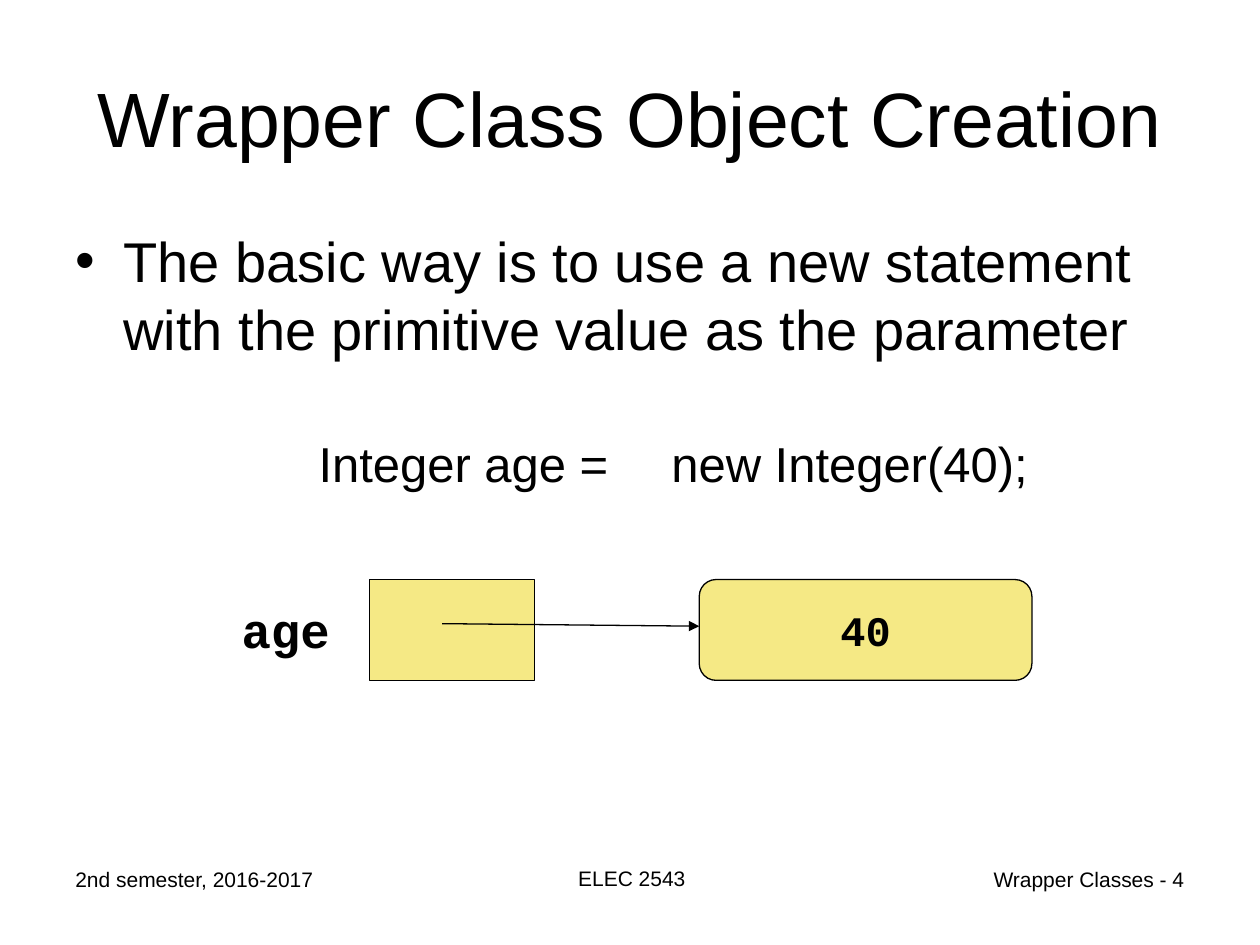
from lxml import etree
from pptx import Presentation
from pptx.dml.color import RGBColor
from pptx.enum.shapes import MSO_CONNECTOR as Connector, MSO_SHAPE as Shape
from pptx.enum.text import MSO_ANCHOR as Anchor, MSO_AUTO_SIZE as AutoSize, PP_ALIGN as Align
from pptx.oxml.ns import qn
from pptx.util import Inches, Pt

BLACK, YELLOW = "000000", "F5E985"
LINE_WIDTH = Pt(0.74)
CODE_FONT = {"name": "Courier New", "bold": True}


def color(value):
    """Turn a hex string into a colour."""
    return RGBColor.from_string(value)


def set_all(target, values):
    """Set attributes from a dict of format values."""
    for name, value in values.items():
        setattr(target, name, value)


def place(shape, box):
    """Move a shape to a box given in inches."""
    set_all(shape, dict(zip(("left", "top", "width", "height"), map(Inches, box))))


def write(shape, text, size, align=Align.LEFT, anchor=Anchor.TOP, wrap=True, font=None):
    """Write one formatted paragraph into a shape and return it."""
    frame = shape.text_frame
    frame.text = text
    set_all(frame, {"auto_size": AutoSize.NONE, "word_wrap": wrap, "vertical_anchor": anchor})
    paragraph = frame.paragraphs[0]
    paragraph.alignment = align
    run_font = paragraph.runs[0].font
    set_all(run_font, {"name": "Arial", "size": Pt(size), **(font or {})})
    run_font.color.rgb = color(BLACK)
    return paragraph


def add_label(slide, box, text, size, **options):
    """Add a text box holding one line."""
    label = slide.shapes.add_textbox(*map(Inches, box))
    write(label, text, size, **options)


def add_cell(slide, kind, box):
    """Add a yellow outlined memory cell."""
    cell = slide.shapes.add_shape(kind, *map(Inches, box))
    cell.shadow.inherit = False
    cell.fill.solid()
    cell.fill.fore_color.rgb = color(YELLOW)
    cell.line.color.rgb = color(BLACK)
    cell.line.width = LINE_WIDTH
    return cell


def add_arrow(slide, start, end):
    """Add a thin black arrow between two points."""
    points = map(Inches, (*start, *end))
    arrow = slide.shapes.add_connector(Connector.STRAIGHT, *points)
    arrow.line.color.rgb = color(BLACK)
    arrow.line.width = LINE_WIDTH
    etree.SubElement(arrow.line._get_or_add_ln(), qn("a:tailEnd"), type="triangle")
    etree.SubElement(arrow._element.spPr, qn("a:effectLst"))


def fill_title(slide, box, text):
    """Fill the title placeholder."""
    place(slide.shapes.title, box)
    write(slide.shapes.title, text, 44, align=Align.CENTER, anchor=Anchor.MIDDLE)


def fill_body(slide, box, text):
    """Fill the body placeholder with one bullet."""
    body = slide.placeholders[1]
    place(body, box)
    paragraph = write(body, text, 32)
    paragraph.space_before = Pt(8)
    properties = paragraph._p.get_or_add_pPr()
    properties.set("marL", str(Inches(0.38)))
    properties.set("indent", str(Inches(-0.38)))
    etree.SubElement(properties, qn("a:buChar"), char="\u2022")


def add_statement(slide, box):
    """Add the two halves of the code statement."""
    left, top, width, height = box
    add_label(slide, (left, top, 2.5, height), "Integer age =", 28, wrap=False)
    add_label(slide, (left + 2.8, top, width - 2.8, height), "new Integer(40);", 28, wrap=False)


def add_reference_diagram(slide, box):
    """Draw the variable pointing to its object."""
    left, top, width, height = box
    object_width = 2.64
    object_left = left + width - object_width
    value = add_cell(slide, Shape.ROUNDED_RECTANGLE, (object_left, top, object_width, height))
    write(value, "40", 24, align=Align.CENTER, anchor=Anchor.MIDDLE, wrap=False, font=CODE_FONT)
    add_cell(slide, Shape.RECTANGLE, (left + 1.11, top, 1.31, height))
    add_label(slide, (left, top + 0.11, 0.9, 0.57), "age", 28, wrap=False, font=CODE_FONT)
    add_arrow(slide, (left + 1.69, top + 0.35), (object_left, top + 0.37))


def add_footer(slide, box):
    """Add the left, centre and right footer texts."""
    left, top, width, height = box
    side = 2.33
    add_label(slide, (left, top, side, height), "2nd semester, 2016-2017", 12)
    add_label(slide, (left + 2.93, top - 0.01, 3.17, height), "ELEC 2543", 12, align=Align.CENTER)
    add_label(slide, (left + width - side, top, side, height), "Wrapper Classes - 4", 12,
              align=Align.RIGHT)


def build():
    """Build and save the presentation."""
    presentation = Presentation()
    set_all(presentation, {"slide_width": Inches(10), "slide_height": Inches(7.5)})
    slide = presentation.slides.add_slide(presentation.slide_layouts[1])
    fill_title(slide, (0.5, 0.3, 9, 1.25), "Wrapper Class Object Creation")
    fill_body(slide, (0.5, 1.75, 9, 1.37),
              "The basic way is to use a new statement with the primitive value as the parameter")
    add_footer(slide, (0.5, 6.83, 9, 0.52))
    add_statement(slide, (2.43, 3.39, 5.83, 0.57))
    add_reference_diagram(slide, (1.82, 4.6, 6.37, 0.8))
    presentation.save("out.pptx")


build()
